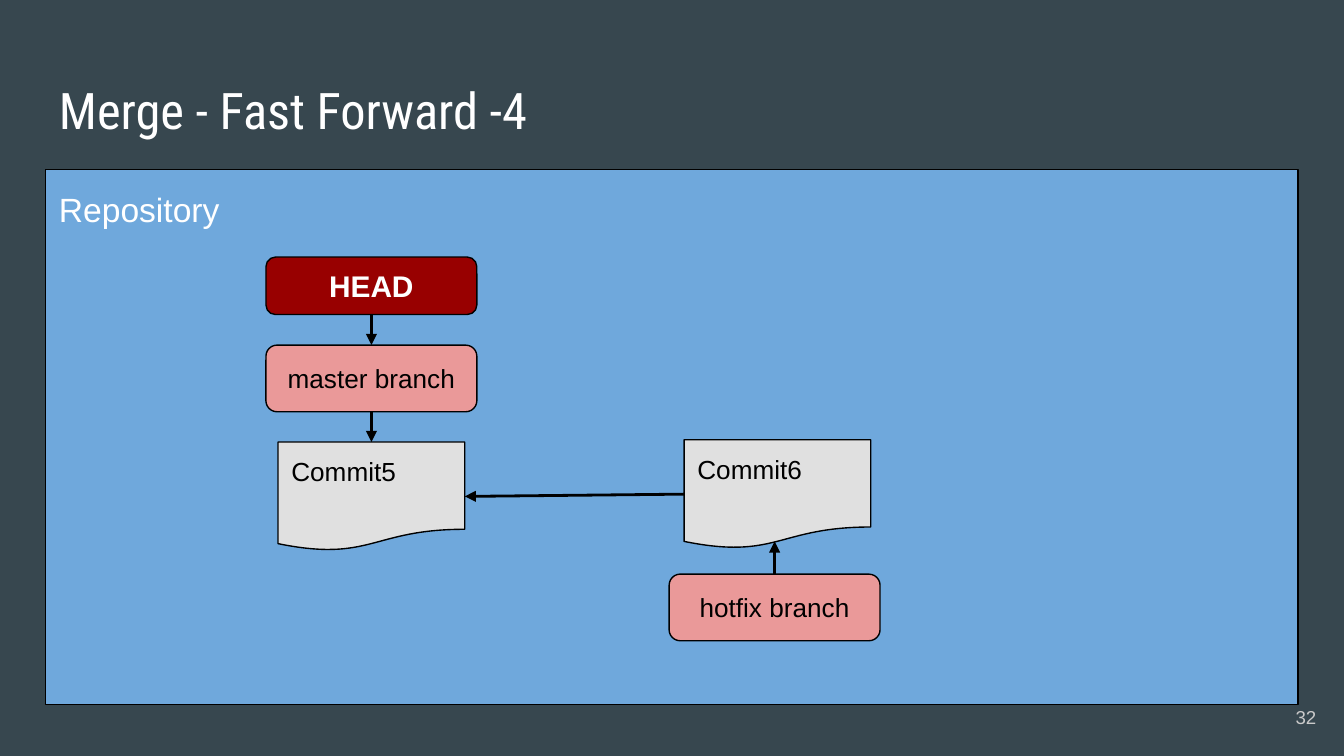
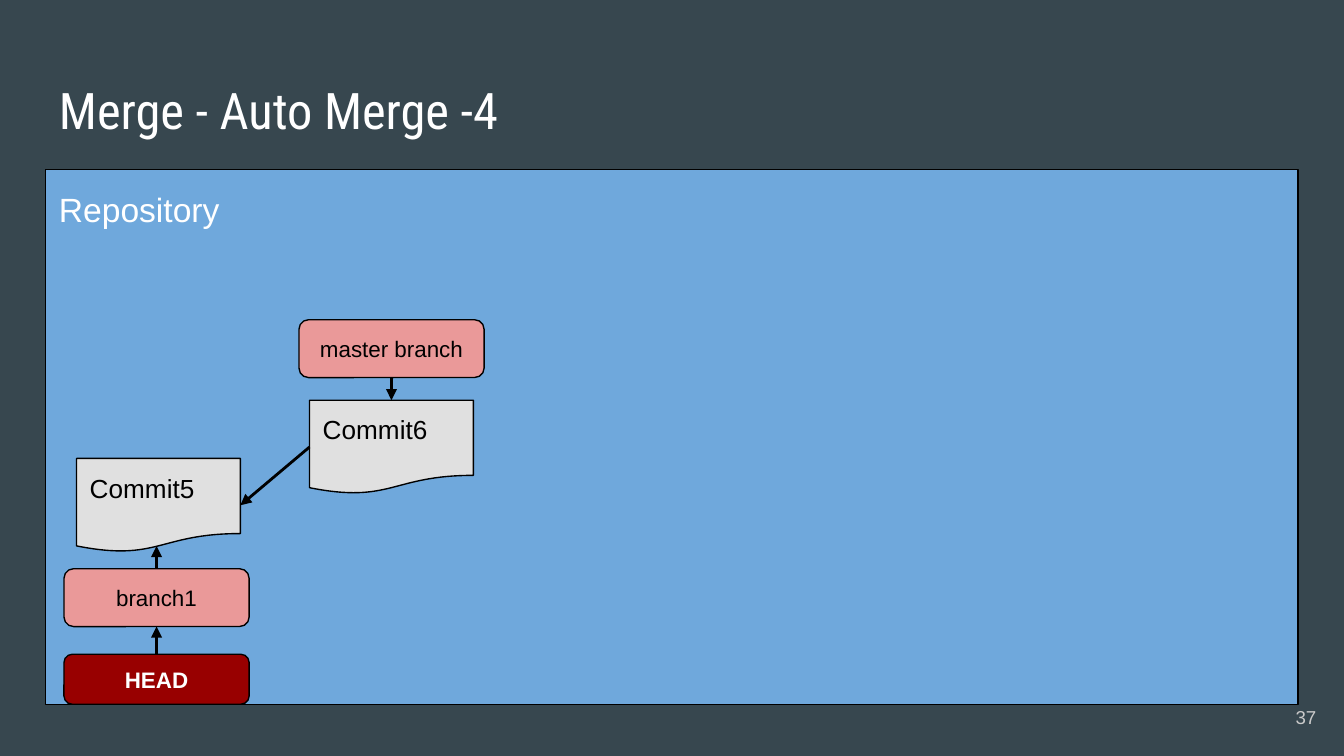
from dataclasses import dataclass

import pptx
import pptx.dml.color
import pptx.enum.shapes
import pptx.enum.text
import pptx.oxml
import pptx.oxml.ns
import pptx.util

Pt = pptx.util.Pt
SHAPE = pptx.enum.shapes.MSO_SHAPE
ALIGN = pptx.enum.text.PP_ALIGN
ANCHOR = pptx.enum.text.MSO_ANCHOR

COLORS = {
    "background": "37474F",
    "panel": "6FA8DC",
    "commit": "E0E0E0",
    "branch": "EA9999",
    "head": "980000",
    "ink": "000000",
    "white": "FFFFFF",
    "number": "CACACA",
}
TOP, LEFT, BOTTOM, RIGHT = range(4)
DOCUMENT_BOTTOM = 0.934


@dataclass(frozen=True)
class Box:
    left: float
    top: float
    width: float
    height: float


@dataclass(frozen=True)
class Style:
    font: str = "Arial"
    size: float = 14
    color: str = "ink"
    bold: bool = False
    align: ALIGN = ALIGN.LEFT
    anchor: ANCHOR = ANCHOR.TOP


@dataclass(frozen=True)
class Kind:
    width: float
    height: float
    fill: str
    shape: SHAPE
    style: Style


@dataclass(frozen=True)
class Node:
    text: str
    kind: str
    left: float
    top: float


@dataclass(frozen=True)
class Link:
    start: str
    start_side: int
    end: str
    end_side: int


@dataclass(frozen=True)
class Diagram:
    title: str
    number: int
    kinds: dict[str, Kind]
    nodes: list[Node]
    links: list[Link]


PANEL = Box(24.5, 90.7, 671, 286.6)
TITLE = Box(24.5, 35.2, 671, 45.4)
NUMBER = Box(669, 368.8, 43.2, 31)
TITLE_STYLE = Style("Roboto Condensed", 27, "white")
PANEL_STYLE = Style(size=18, color="white")
NUMBER_STYLE = Style(size=10, color="number", align=ALIGN.RIGHT, anchor=ANCHOR.MIDDLE)


def make_kinds(commit: tuple, branch: tuple, head: tuple) -> dict[str, Kind]:
    def label(size: float, color: str, bold: bool) -> Style:
        return Style("Arial", size, color, bold, ALIGN.CENTER, ANCHOR.MIDDLE)

    return {
        "commit": Kind(*commit, "commit", SHAPE.FLOWCHART_DOCUMENT, Style()),
        "branch": Kind(*branch[:2], "branch", SHAPE.ROUNDED_RECTANGLE,
                       label(branch[2], "ink", False)),
        "head": Kind(*head[:2], "head", SHAPE.ROUNDED_RECTANGLE,
                     label(head[2], "white", True)),
    }


DIAGRAMS = [
    Diagram(
        "Merge - Fast Forward -4", 32,
        make_kinds((100, 58.3), (113, 35.7, 14), (113, 30.8, 16)),
        [
            Node("Commit5", "commit", 149, 236.8),
            Node("master branch", "branch", 142.5, 184.9),
            Node("HEAD", "head", 142.5, 137.7),
            Node("hotfix branch", "branch", 358.5, 307.6),
            Node("Commit6", "commit", 366.5, 235.6),
        ],
        [
            Link("master branch", BOTTOM, "Commit5", TOP),
            Link("HEAD", BOTTOM, "master branch", TOP),
            Link("hotfix branch", TOP, "Commit6", BOTTOM),
            Link("Commit6", LEFT, "Commit5", RIGHT),
        ],
    ),
    Diagram(
        "Merge - Auto Merge -4", 37,
        make_kinds((87.8, 50.2), (99.2, 31, 12), (99.2, 26.8, 12)),
        [
            Node("Commit5", "commit", 41, 245.6),
            Node("master branch", "branch", 160.2, 171.3),
            Node("Commit6", "commit", 165.8, 214.4),
            Node("HEAD", "head", 34.3, 350.5),
            Node("branch1", "branch", 34.3, 304.7),
        ],
        [
            Link("master branch", BOTTOM, "Commit6", TOP),
            Link("Commit6", LEFT, "Commit5", RIGHT),
            Link("HEAD", TOP, "branch1", BOTTOM),
            Link("branch1", TOP, "Commit5", BOTTOM),
        ],
    ),
]


def rgb(name: str) -> pptx.dml.color.RGBColor:
    return pptx.dml.color.RGBColor.from_string(COLORS[name])


def frame(box: Box) -> list:
    return [Pt(v) for v in (box.left, box.top, box.width, box.height)]


def write(sp, text: str, style: Style):
    tf = sp.text_frame
    tf.word_wrap = True
    tf.vertical_anchor = style.anchor
    tf.margin_left = tf.margin_right = tf.margin_top = tf.margin_bottom = Pt(7.2)
    p = tf.paragraphs[0]
    p.alignment = style.align
    r = p.add_run()
    r.text = text
    r.font.name = style.font
    r.font.size = Pt(style.size)
    r.font.bold = style.bold
    r.font.color.rgb = rgb(style.color)
    return p


def add_text(s, box: Box, text: str, style: Style) -> None:
    write(s.shapes.add_textbox(*frame(box)), text, style)


def add_filled(s, shape: SHAPE, box: Box, fill: str):
    sp = s.shapes.add_shape(shape, *frame(box))
    sp.shadow.inherit = False
    sp.fill.solid()
    sp.fill.fore_color.rgb = rgb(fill)
    sp.line.color.rgb = rgb("ink")
    sp.line.width = Pt(0.75)
    return sp


def add_panel(s) -> None:
    sp = add_filled(s, SHAPE.RECTANGLE, PANEL, "panel")
    p = write(sp, "Repository", PANEL_STYLE)
    p.line_spacing = 1.15
    p.space_after = Pt(12)


def add_node(s, node: Node, kind: Kind):
    box = Box(node.left, node.top, kind.width, kind.height)
    sp = add_filled(s, kind.shape, box, kind.fill)
    write(sp, node.text, kind.style)
    return sp


def add_arrow(s, link: Link, shapes: dict) -> None:
    start, end = shapes[link.start], shapes[link.end]
    c = s.shapes.add_connector(pptx.enum.shapes.MSO_CONNECTOR.STRAIGHT, 0, 0, 0, 0)
    c.begin_connect(start, link.start_side)
    if end.auto_shape_type == SHAPE.FLOWCHART_DOCUMENT and link.end_side == BOTTOM:
        c.end_x = c.begin_x
        c.end_y = end.top + int(end.height * DOCUMENT_BOTTOM)
    else:
        c.end_connect(end, link.end_side)
    c.line.color.rgb = rgb("ink")
    c.line.width = Pt(1.5)
    tail = pptx.oxml.parse_xml(
        f'<a:tailEnd {pptx.oxml.ns.nsdecls("a")} type="triangle"/>')
    c.line._get_or_add_ln().append(tail)
    c._element.spPr.append(
        pptx.oxml.parse_xml(f'<a:effectLst {pptx.oxml.ns.nsdecls("a")}/>'))


def add_diagram(prs, diagram: Diagram) -> None:
    s = prs.slides.add_slide(prs.slide_layouts[6])
    s.background.fill.solid()
    s.background.fill.fore_color.rgb = rgb("background")
    add_panel(s)
    add_text(s, TITLE, diagram.title, TITLE_STYLE)
    add_text(s, NUMBER, str(diagram.number), NUMBER_STYLE)
    shapes = {n.text: add_node(s, n, diagram.kinds[n.kind]) for n in diagram.nodes}
    for link in diagram.links:
        add_arrow(s, link, shapes)


def main() -> None:
    prs = pptx.Presentation()
    prs.slide_width, prs.slide_height = Pt(720), Pt(405)
    for diagram in DIAGRAMS:
        add_diagram(prs, diagram)
    prs.save("out.pptx")


if __name__ == "__main__":
    main()
